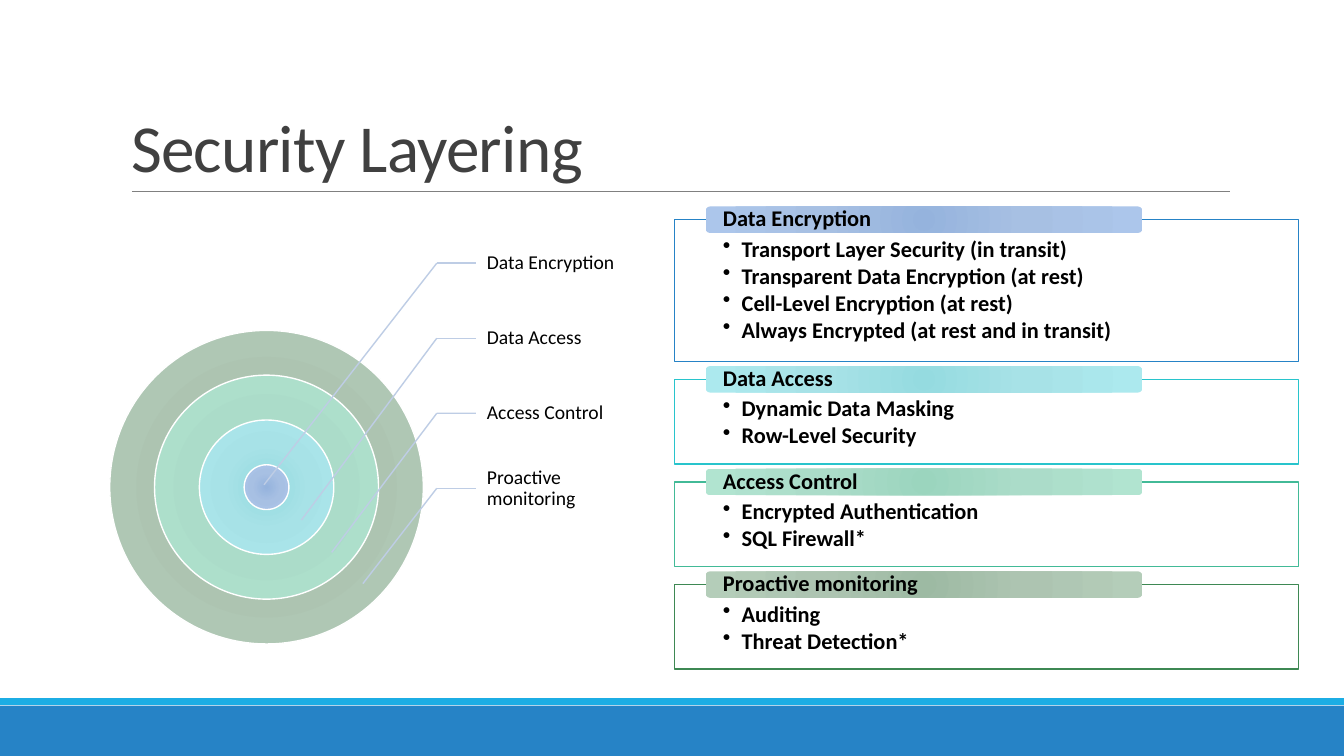
"""Build the Security Layering slide."""
from lxml import etree
from pptx import Presentation
from pptx.dml.color import RGBColor
from pptx.enum.shapes import MSO_CONNECTOR, MSO_SHAPE
from pptx.enum.text import MSO_ANCHOR, MSO_AUTO_SIZE, PP_ALIGN
from pptx.oxml.ns import qn
from pptx.util import Pt

LINE = MSO_CONNECTOR.STRAIGHT
RECT, ROUND, OVAL = MSO_SHAPE.RECTANGLE, MSO_SHAPE.ROUNDED_RECTANGLE, MSO_SHAPE.OVAL
TOP, MIDDLE, BOTTOM = MSO_ANCHOR.TOP, MSO_ANCHOR.MIDDLE, MSO_ANCHOR.BOTTOM
LEFT, FIXED = PP_ALIGN.LEFT, MSO_AUTO_SIZE.NONE

HUES = {
    "white": "FFFFFF", "black": "000000", "title": "404040", "rule": "808080",
    "bar": "2683C6", "strip": "1CADE4", "leader": "BECDE5",
    "blue": "2683C6", "cyan": "28C4CC", "mint": "42BA97", "green": "3E8853",
}
FADES = {
    "blue": ("95B3DD", "A7C0E3", "ACC6EB"),
    "cyan": ("95DBE0", "A7E2E7", "ACE9EE"),
    "mint": ("9BD5BE", "ABDCC9", "B1E4D0"),
    "green": ("9DBAA3", "ADC4B1", "B4CDB9"),
}
LAYERS = [
    ("Data Encryption", "blue", (188.6, 346.3), [
        "Transport Layer Security (in transit)",
        "Transparent Data Encryption (at rest)",
        "Cell-Level Encryption (at rest)",
        "Always Encrypted (at rest and in transit)"]),
    ("Data Access", "cyan", (215.3, 371.5),
     ["Dynamic Data Masking", "Row-Level Security"]),
    ("Access Control", "mint", (236.9, 394.6),
     ["Encrypted Authentication", "SQL Firewall*"]),
    ("Proactive monitoring", "green", (259.2, 416.9),
     ["Auditing", "Threat Detection*"]),
]


class Deck:
    """Hold the style and the current slide."""

    def __init__(self, font):
        self.font = font
        self.show = Presentation()
        self.show.slide_width, self.show.slide_height = Pt(960), Pt(540)
        self.slide = self.show.slides.add_slide(self.show.slide_layouts[5])

    def color(self, name):
        return RGBColor.from_string(HUES[name])

    def shape(self, kind, x, y, w, h, fill=None, line=None, fade=None):
        item = self.slide.shapes.add_shape(kind, Pt(x), Pt(y), Pt(w), Pt(h))
        item.shadow.inherit = False
        if fade:
            self.fade(item, FADES[fade])
        else:
            item.fill.solid()
            item.fill.fore_color.rgb = self.color(fill)
        if line:
            item.line.color.rgb = self.color(line)
            item.line.width = Pt(1)
        else:
            item.line.fill.background()
        return item

    def fade(self, item, stops):
        item.fill.background()
        props = item.element.spPr
        grad = etree.Element(qn("a:gradFill"), rotWithShape="1")
        row = etree.SubElement(grad, qn("a:gsLst"))
        for place, tone in zip((0, 45, 100), stops):
            stop = etree.SubElement(row, qn("a:gs"), pos=str(place * 1000))
            etree.SubElement(stop, qn("a:srgbClr"), val=tone)
        ray = etree.SubElement(grad, qn("a:path"), {"path": "circle"})
        etree.SubElement(ray, qn("a:fillToRect"), dict.fromkeys("ltrb", "100000"))
        props.replace(props.find(qn("a:noFill")), grad)

    def text(self, item, lines, size, pads, anchor=MIDDLE, bold=False,
             hue="black", gap=0.9, after=0, mark=None, track=0):
        frame = item.text_frame
        frame.word_wrap, frame.auto_size = True, FIXED
        frame.vertical_anchor = anchor
        (frame.margin_left, frame.margin_top,
         frame.margin_right, frame.margin_bottom) = map(Pt, pads)
        for i, line in enumerate(lines):
            para = frame.add_paragraph() if i else frame.paragraphs[0]
            para.text, para.alignment = line, LEFT
            para.line_spacing, para.space_after = gap, Pt(after)
            props = para._p.get_or_add_pPr()
            if mark:
                props.set("marL", str(Pt(13.5)))
                props.set("indent", str(Pt(-13.5)))
                etree.SubElement(props, qn("a:buChar"), char=mark)
            font = para.font
            font.name, font.size, font.bold = self.font, Pt(size), bold
            font.color.rgb = self.color(hue)
            if track:
                props.find(qn("a:defRPr")).set("spc", str(track))

    def title(self, words, x, y, w, h):
        item = self.slide.shapes.title
        item.left, item.top, item.width, item.height = map(Pt, (x, y, w, h))
        self.text(item, [words], 48, (7.2, 3.6, 7.2, 3.6), BOTTOM,
                  hue="title", gap=0.85, track=-50)

    def label(self, words, x, y, w, h):
        item = self.slide.shapes.add_textbox(Pt(x), Pt(y), Pt(w), Pt(h))
        self.text(item, [words], 14, (7.8, 1.3, 1.3, 1.3))
        return item

    def line(self, start, end, hue, width=1, goal=None):
        item = self.slide.shapes.add_connector(LINE, *map(Pt, start + end))
        item.line.color.rgb, item.line.width = self.color(hue), Pt(width)
        etree.SubElement(item.element.spPr, qn("a:effectLst"))
        if goal is not None:
            item.end_connect(goal, 1)

    def card(self, name, hue, points, y, h):
        box = self.shape(RECT, 481.7, y, 445.7, h, "white", hue)
        self.text(box, points, 16, (34.6, 13.1, 34.6, 8.9), TOP, True,
                  after=2, mark="•")
        tab = self.shape(ROUND, 504, y - 9.4, 312, 18.9, fade=hue)
        self.text(tab, [name], 16, (11.5, 0, 11.5, 0), bold=True)


def main():
    deck = Deck("Calibri")
    deck.shape(RECT, 0, 504, 960, 36, "bar")
    deck.shape(RECT, 0, 498.7, 960, 4.8, "strip")
    deck.line((94.3, 136.6), (878.8, 136.6), "rule", 0.5)
    deck.title("Security Layering", 86.4, 22.6, 792, 114.2)

    for i, (_, hue, _, _) in reversed(list(enumerate(LAYERS))):
        size = 32 + 64 * i
        deck.shape(OVAL, 190.4 - size / 2, 348 - size / 2, size, size,
                   line="white", fade=hue)

    step, y = 53.6, 156.9
    for i, (name, hue, spot, points) in enumerate(LAYERS):
        mid = 188 + i * step
        note = deck.label(name, 340, mid - step / 2, 112, step)
        deck.line((312, mid), (340, mid), "leader", goal=note)
        deck.line((312, mid), spot, "leader")
        high = 19.8 + 20.35 * len(points)
        deck.card(name, hue, points, y, high)
        y += high + 12.8

    deck.show.save("out.pptx")


if __name__ == "__main__":
    main()
